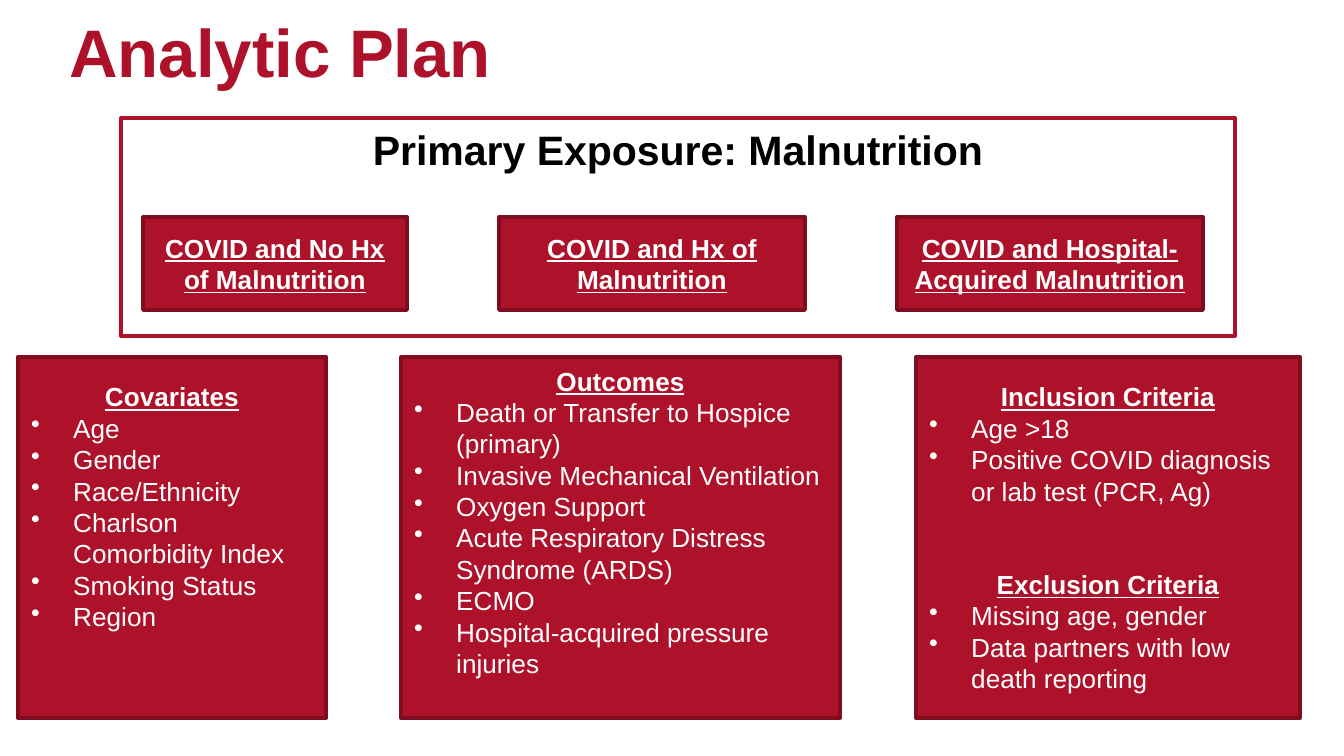
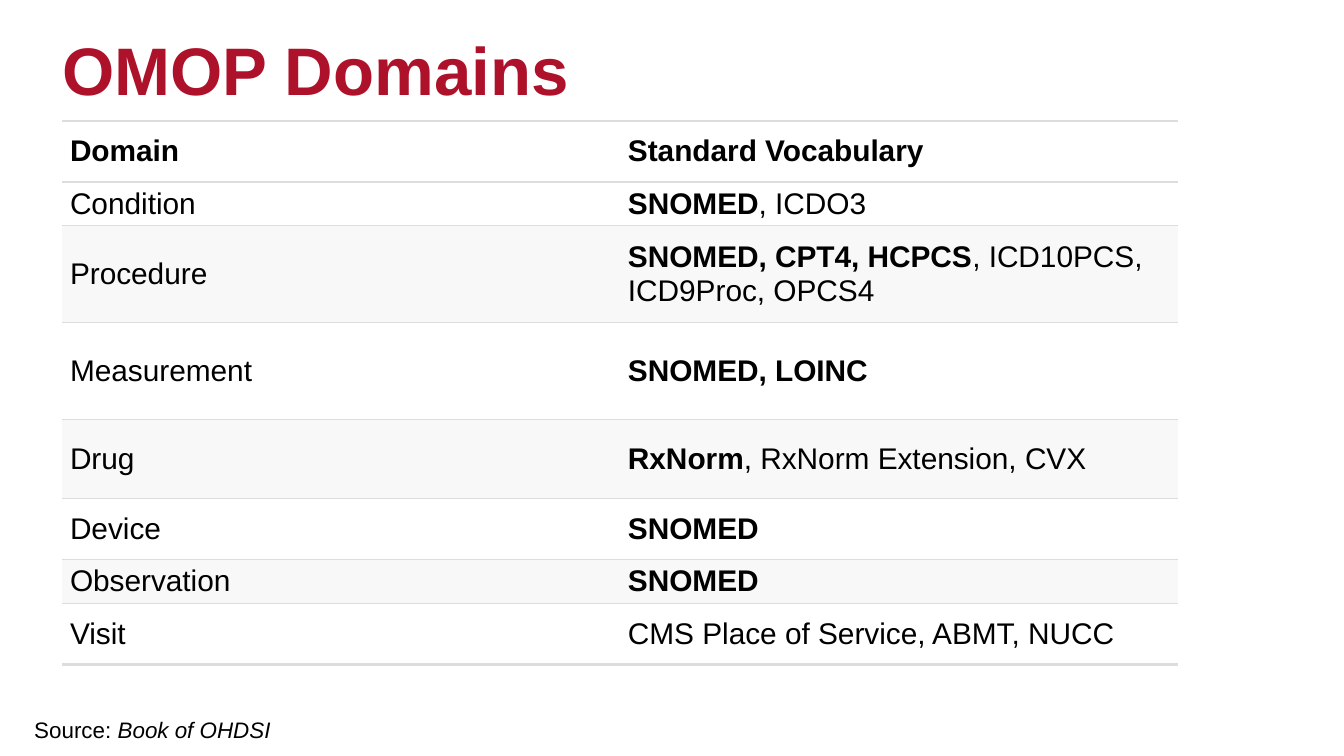
from dataclasses import dataclass

from lxml import etree
from pptx import Presentation
from pptx import util as u
from pptx.dml.color import RGBColor
from pptx.enum import shapes, text
from pptx.oxml import ns

EMU_PER_PIXEL = 914400 / 134.4


def px(pixels):
    return u.Emu(round(pixels * EMU_PER_PIXEL))


@dataclass(frozen=True)
class Theme:
    font: str = "Arial"
    red: str = "AD122A"
    dark_red: str = "800D1F"
    white: str = "FFFFFF"
    black: str = "000000"
    band: str = "F8F8F8"
    rule: str = "DDDDDD"
    title: int = 36
    banner: int = 22
    table: int = 16
    body: int = 14
    source: int = 12
    outline: int = 2
    line_height: int = 31   # one body line, in pixels
    indent: int = 42


class Deck:
    """The theme, the presentation and the page being filled."""

    def __init__(self, theme):
        self.theme = theme
        self.deck = Presentation()
        self.deck.slide_width, self.deck.slide_height = px(1344), px(756)
        self.page = None

    def add_page(self, title, left, top):
        self.page = self.deck.slides.add_slide(self.deck.slide_layouts[6])
        box = self.text_box(left, top, 1160, 94)
        frame = box.text_frame
        frame.margin_top = frame.margin_bottom = 0
        frame.vertical_anchor = text.MSO_ANCHOR.MIDDLE
        para = frame.paragraphs[0]
        para.text = title
        para.line_spacing = 0.9
        self.style(para, self.theme.title, self.theme.red, bold=True)

    def style(self, para, size, color, bold=False, underline=False):
        font = para.font
        font.name, font.size = self.theme.font, u.Pt(size)
        font.color.rgb = RGBColor.from_string(color)
        font.bold, font.underline = bold, underline

    def text_box(self, left, top, width, height):
        box = self.page.shapes.add_textbox(px(left), px(top), px(width), px(height))
        box.text_frame.word_wrap = True
        return box

    def rectangle(self, left, top, width, height, fill, line):
        box = self.page.shapes.add_shape(
            shapes.MSO_SHAPE.RECTANGLE, px(left), px(top), px(width), px(height))
        box.shadow.inherit = False
        box.fill.solid()
        box.fill.fore_color.rgb = RGBColor.from_string(fill)
        box.line.color.rgb = RGBColor.from_string(line)
        box.line.width = u.Pt(self.theme.outline)
        box.text_frame.word_wrap = True
        return box

    def frame(self, left, top, width, height, caption):
        theme = self.theme
        box = self.rectangle(left, top, width, height, theme.white, theme.red)
        box.text_frame.vertical_anchor = text.MSO_ANCHOR.TOP
        para = box.text_frame.paragraphs[0]
        para.text, para.alignment = caption, text.PP_ALIGN.CENTER
        self.style(para, theme.banner, theme.black, bold=True)

    def panel(self, left, top, width, height, sections, lines_below=0):
        """A red box of (heading, bullets) sections, two lines apart."""
        theme = self.theme
        box = self.rectangle(left, top, width, height, theme.red, theme.dark_red)
        frame = box.text_frame
        frame.vertical_anchor = text.MSO_ANCHOR.MIDDLE
        frame.margin_bottom = px(7 + lines_below * theme.line_height)
        para = frame.paragraphs[0]
        for number, (heading, items) in enumerate(sections):
            if number:
                para = frame.add_paragraph()
                para.space_before = px(2 * theme.line_height)
            para.text, para.alignment = heading, text.PP_ALIGN.CENTER
            self.style(para, theme.body, theme.white, bold=True, underline=True)
            for item in items:
                self.bullet(frame.add_paragraph(), item)

    def bullet(self, para, item):
        para.text, para.alignment = item, text.PP_ALIGN.LEFT
        self.style(para, self.theme.body, self.theme.white)
        props = para._p.get_or_add_pPr()
        props.set("marL", str(px(self.theme.indent)))
        props.set("indent", str(-px(self.theme.indent)))
        mark = etree.Element(ns.qn("a:buChar"), char="•")
        props.insert_element_before(mark, "a:tabLst", "a:defRPr", "a:extLst")

    def table(self, left, top, column_width, row_heights, rows):
        """Each cell is a (bold part, plain part) pair."""
        theme = self.theme
        columns = len(rows[0])
        grid = self.page.shapes.add_table(
            len(rows), columns, px(left), px(top),
            px(columns * column_width), px(sum(row_heights))).table
        grid.first_row = grid.horz_banding = False
        for column in grid.columns:
            column.width = px(column_width)
        for index, (height, row) in enumerate(zip(row_heights, rows)):
            grid.rows[index].height = px(height)
            banded = index > 0 and index % 2 == 0
            last = index == len(rows) - 1
            for cell, parts in zip(grid.rows[index].cells, row):
                self.fill_cell(cell, parts, theme.band if banded else theme.white)
                self.cell_rules(cell, 0.75, 1.5 if last else 0.75)

    def fill_cell(self, cell, parts, fill):
        cell.fill.solid()
        cell.fill.fore_color.rgb = RGBColor.from_string(fill)
        cell.vertical_anchor = text.MSO_ANCHOR.MIDDLE
        cell.margin_left = cell.margin_right = px(8)
        cell.margin_top = cell.margin_bottom = px(4)
        para = cell.text_frame.paragraphs[0]
        self.style(para, self.theme.table, self.theme.black)
        for words, bold in zip(parts, (True, False)):
            if words:
                span = para.add_run()
                span.text, span.font.bold = words, bold

    def cell_rules(self, cell, above, below):
        props = cell._tc.get_or_add_tcPr()
        widths = {"lnL": 0, "lnR": 0, "lnT": above, "lnB": below}
        for place, (tag, points) in enumerate(widths.items()):
            line = etree.Element(ns.qn("a:" + tag), w=str(u.Pt(points)))
            if points:
                paint = etree.SubElement(line, ns.qn("a:solidFill"))
                etree.SubElement(paint, ns.qn("a:srgbClr"), val=self.theme.rule)
            else:
                etree.SubElement(line, ns.qn("a:noFill"))
            props.insert(place, line)

    def source(self, left, top, width, height, label, work):
        box = self.text_box(left, top, width, height)
        box.text_frame.word_wrap = False
        para = box.text_frame.paragraphs[0]
        self.style(para, self.theme.source, self.theme.black)
        para.add_run().text = label
        span = para.add_run()
        span.text, span.font.italic = work, True


deck = Deck(Theme())

# Analytic plan: exposure groups above, study definitions below
deck.add_page("Analytic Plan", 56, 9)
deck.frame(121, 118, 1114, 218, "Primary Exposure: Malnutrition")

GROUPS = [
    (143, 264, "COVID and No Hx of Malnutrition"),
    (499, 306, "COVID and Hx of Malnutrition"),
    (897, 306, "COVID and Hospital-Acquired Malnutrition"),
]
for left, width, name in GROUPS:
    deck.panel(left, 217, width, 93, [(name, [])])

DEFINITIONS = [
    (18, 308, 2, [
        ("Covariates", ["Age", "Gender", "Race/Ethnicity",
                        "Charlson Comorbidity Index", "Smoking Status", "Region"]),
    ]),
    (401, 439, 1, [
        ("Outcomes", ["Death or Transfer to Hospice (primary)",
                      "Invasive Mechanical Ventilation", "Oxygen Support",
                      "Acute Respiratory Distress Syndrome (ARDS)", "ECMO",
                      "Hospital-acquired pressure injuries"]),
    ]),
    (916, 384, 0, [
        ("Inclusion Criteria", ["Age >18",
                                "Positive COVID diagnosis or lab test (PCR, Ag)"]),
        ("Exclusion Criteria", ["Missing age, gender",
                                "Data partners with low death reporting"]),
    ]),
]
for left, width, lines_below, sections in DEFINITIONS:
    deck.panel(left, 357, width, 361, sections, lines_below)

# OMOP domains: table of vocabularies
deck.add_page("OMOP Domains", 49, 27)
HEADER = [("Domain", ""), ("Standard Vocabulary", "")]
DOMAINS = [
    ("Condition", "SNOMED", ", ICDO3"),
    ("Procedure", "SNOMED, CPT4, HCPCS", ", ICD10PCS, ICD9Proc, OPCS4"),
    ("Measurement", "SNOMED, LOINC", ""),
    ("Drug", "RxNorm", ", RxNorm Extension, CVX"),
    ("Device", "SNOMED", ""),
    ("Observation", "SNOMED", ""),
    ("Visit", "", "CMS Place of Service, ABMT, NUCC"),
]
rows = [HEADER] + [[("", domain), (main, rest)] for domain, main, rest in DOMAINS]
deck.table(62, 121, 558, [61, 43, 97, 97, 79, 61, 43, 61], rows)
deck.source(21, 710, 266, 40, "Source: ", "Book of OHDSI")

deck.deck.save("out.pptx")
